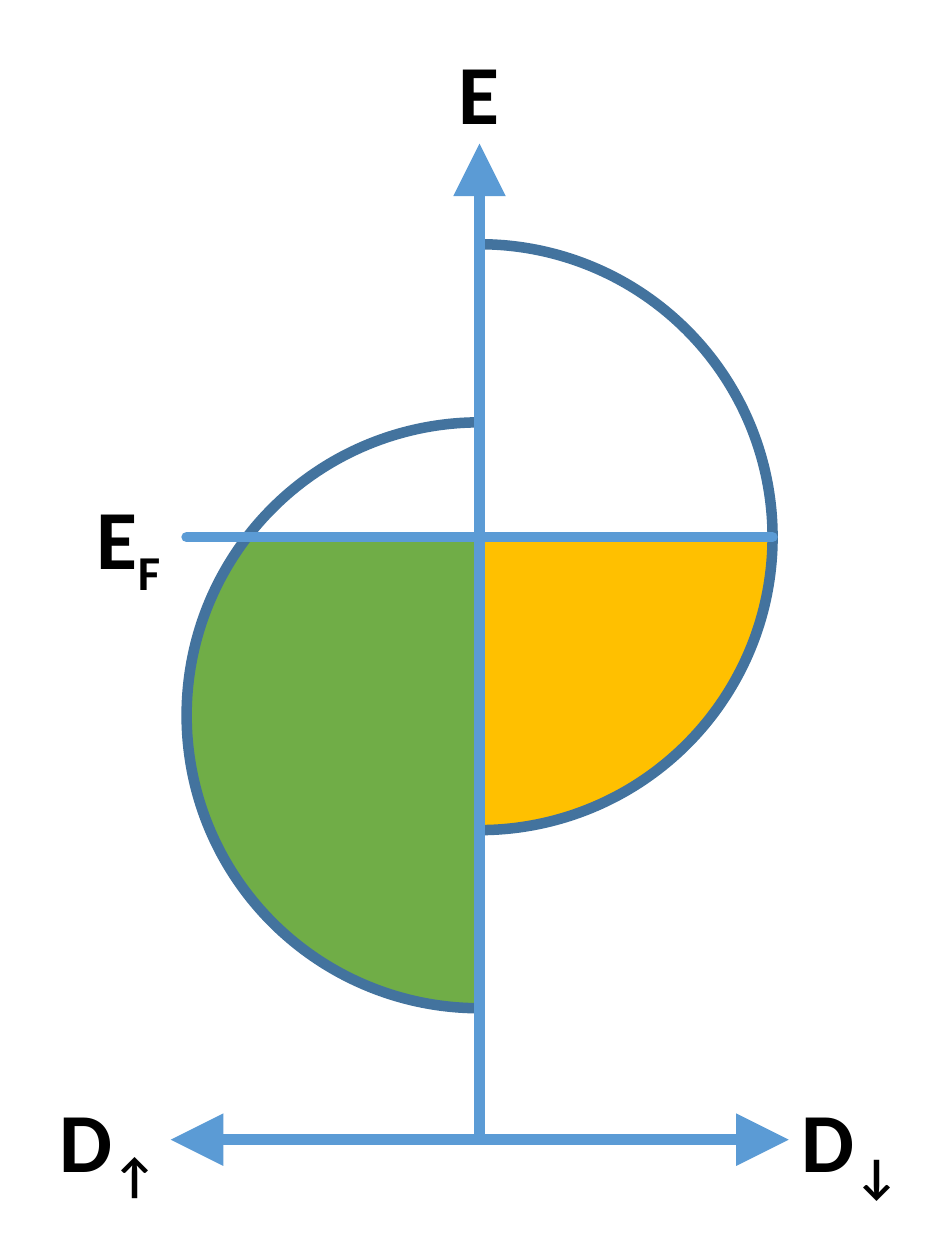
"""Spin-split density of states: two half circles filled up to the Fermi level."""
from math import asin, cos, pi, sin

from lxml import etree
from pptx import Presentation
from pptx.dml.color import RGBColor
from pptx.enum.shapes import MSO_CONNECTOR, MSO_SHAPE
from pptx.enum.text import MSO_AUTO_SIZE
from pptx.oxml.ns import qn
from pptx.util import Pt

STRAIGHT = MSO_CONNECTOR.STRAIGHT
PIE = MSO_SHAPE.PIE
FIT = MSO_AUTO_SIZE.SHAPE_TO_FIT_TEXT
COLS, ROWS, UNIT = 750, 1000, 9144
HEX = {"up": "70AD47", "up_edge": "538035", "down": "FFC000", "down_edge": "BD8E00",
       "arc": "43739E", "axis": "5B9BD5", "text": "000000"}
INK = {key: RGBColor.from_string(val) for key, val in HEX.items()}

deck = Presentation()
deck.slide_width, deck.slide_height = COLS * UNIT, ROWS * UNIT
slide = deck.slides.add_slide(deck.slide_layouts[6])
shapes = slide.shapes.add_group_shape().shapes


def grid(*cells):
    return [round(cell * UNIT) for cell in cells]


def stroke(shape, ink, width):
    shape.line.color.rgb = INK[ink]
    shape.line.width = Pt(width)


mid, fermi, base, radius = 380.6, 426.3, 904.5, 232.5
up_mid = 567.7
tilt = asin((up_mid - fermi) / radius)

for name, level, start, sweep, steps in (("up", up_mid, pi / 2, pi / 2 + tilt, 26),
                                         ("down", fermi, 0, pi / 2, 15)):
    turns = [start + sweep * step / steps for step in range(steps + 1)]
    rim = [grid(mid + radius * cos(a), level + radius * sin(a)) for a in turns]
    pen = shapes.build_freeform(*grid(mid, fermi))
    pen.add_line_segments(rim, close=True)
    area = pen.convert_to_shape()
    area.shadow.inherit = False
    area.fill.solid()
    area.fill.fore_color.rgb = INK[name]
    stroke(area, name + "_edge", 1)

for level, turn in ((up_mid, 0), (fermi, 180)):
    half = shapes.add_shape(PIE, *grid(mid - radius, level - radius, 2 * radius, 2 * radius))
    half.adjustments[0], half.adjustments[1] = 54, 162
    half.rotation = turn
    half.shadow.inherit = False
    half.fill.background()
    stroke(half, "arc", 6)

for ends, tips in (((mid, base, mid, 114), ["tailEnd"]),
                   ((mid + radius, fermi, mid - radius, fermi), []),
                   ((135.5, base, 626, base), ["headEnd", "tailEnd"])):
    axis = shapes.add_connector(STRAIGHT, *grid(*ends))
    stroke(axis, "axis", 6)
    line = axis.line._get_or_add_ln()
    line.set("cap", "rnd")
    for tip in tips:
        etree.SubElement(line, qn("a:" + tip), type="triangle", w="lg", len="lg")
    etree.SubElement(axis._element.spPr, qn("a:effectLst"))

font = {"name": "Calibri", "size": Pt(48), "bold": True}
for left, top, width, word, sub in ((354, 27, 53, "E", ""), (67, 380.5, 74, "E", "F"),
                                    (37.5, 859, 103, "D", "↑"), (626.5, 859, 103, "D", "↓")):
    frame = shapes.add_textbox(*grid(left, top, width, 91)).text_frame
    frame.word_wrap = False
    frame.auto_size = FIT
    for part, shift in ((word, 0), (sub, -25000)):
        if part:
            run = frame.paragraphs[0].add_run()
            run.text = part
            for key, val in font.items():
                setattr(run.font, key, val)
            run.font.color.rgb = INK["text"]
            if shift:
                run.font._element.set("baseline", str(shift))

deck.save("out.pptx")
